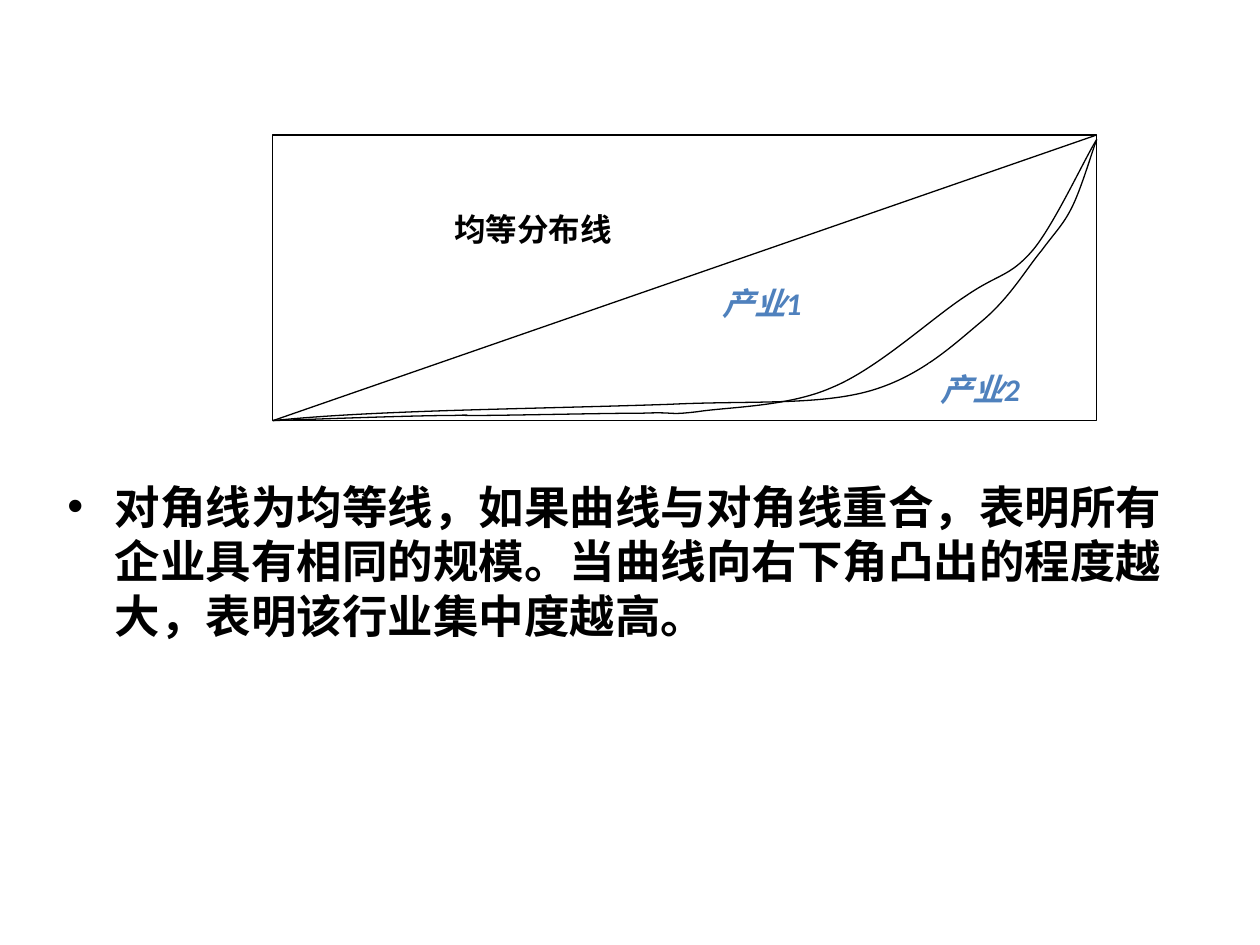
from collections import namedtuple
from dataclasses import dataclass

from lxml.etree import SubElement
from pptx import Presentation
from pptx.dml.color import RGBColor
from pptx.enum.shapes import MSO_CONNECTOR, MSO_SHAPE
from pptx.enum.text import MSO_ANCHOR, PP_ALIGN
from pptx.oxml.ns import qn
from pptx.util import Cm, Pt

Box = namedtuple("Box", "left top width height")


@dataclass(frozen=True)
class Theme:
    """Colours, type and line weights of the slide."""
    font: str = "Calibri"
    ink: RGBColor = RGBColor(0, 0, 0)
    paper: RGBColor = RGBColor(255, 255, 255)
    blue: RGBColor = RGBColor(0x4F, 0x81, 0xBD)
    body: Pt = Pt(26)
    label: Pt = Pt(18)
    rule: Pt = Pt(0.75)


THEME = Theme()

FIRST = [
    (0, 0), (8.9, 0.9), (17.9, 1.8), (21.9, 1.8), (26, 2.2), (20.8, 1.8),
    (24.7, 1.8), (28.5, 1.8), (40.4, 2.6), (44.9, 2.6), (49.3, 3.1),
    (47.6, 1.8), (51.5, 3.1), (55.3, 4.8), (62.5, 4.8), (67.8, 11.5),
    (73.4, 18.1), (79.9, 35.7), (84.1, 43.6), (88.1, 51.5), (89.4, 50.2),
    (92.2, 59.5), (94.8, 68.3), (98.6, 92.1), (100, 98.4),
]
SECOND = [
    (0, 0), (4.6, 1.3), (9.2, 2.2), (17.3, 3.1), (25.3, 4), (39.2, 4.8),
    (48.2, 5.7), (57.4, 7), (65.8, 5.3), (72.1, 10.1), (78.4, 15),
    (82.4, 26), (85.9, 34.4), (89.4, 42.7), (91.4, 52.9), (93.3, 59.5),
    (95.1, 66.5), (96, 68.7), (97.1, 75.3), (98.2, 81.9), (99.5, 94.7),
    (100, 98.4),
]


def write(shape, text, size, color, italic=False):
    """Put one bold paragraph into a shape and return it."""
    frame = shape.text_frame
    frame.text = text
    frame.word_wrap = True
    frame.vertical_anchor = MSO_ANCHOR.TOP
    para = frame.paragraphs[0]
    for run in para.runs:
        font = run.font
        font.name, font.size, font.bold = THEME.font, size, True
        font.italic = italic
        font.color.rgb = color
    return para


def panel(slide, box):
    """Add a plain white rectangle without outline."""
    shape = slide.shapes.add_shape(MSO_SHAPE.RECTANGLE, *map(Cm, box))
    shape.shadow.inherit = False
    shape.fill.solid()
    shape.fill.fore_color.rgb = THEME.paper
    shape.line.fill.background()
    return shape


def stroke(shape):
    """Give a shape or connector the thin dark line."""
    shape.line.color.rgb = THEME.ink
    shape.line.width = THEME.rule


def bend(shape):
    """Turn each three straight segments into one cubic Bezier."""
    lines = list(shape._element.iter(qn("a:lnTo")))
    trail = lines[0].getparent()
    for start in range(0, len(lines), 3):
        cubic = SubElement(trail, qn("a:cubicBezTo"))
        for line in lines[start:start + 3]:
            cubic.append(line[0])
            trail.remove(line)


def curve(slide, box, knots):
    """Draw a curve given in percent of the box, from its lower left."""
    points = [(Cm(box.left + box.width * x / 100),
               Cm(box.top + box.height * (1 - y / 100)))
              for x, y in knots]
    pen = slide.shapes.build_freeform(*points[0])
    pen.add_line_segments(points[1:], close=False)
    shape = pen.convert_to_shape()
    bend(shape)
    shape.shadow.inherit = False
    shape.fill.background()
    stroke(shape)


def graph(slide, box):
    """Draw the framed concentration curves with their labels."""
    stroke(panel(slide, box))
    line = slide.shapes.add_connector(
        MSO_CONNECTOR.STRAIGHT, Cm(box.left), Cm(box.top + box.height),
        Cm(box.left + box.width), Cm(box.top))
    SubElement(line._element.spPr, qn("a:effectLst"))
    stroke(line)
    for knots in (SECOND, FIRST):
        curve(slide, box, knots)

    note = slide.shapes.add_textbox(
        Cm(box.left + 3.41), Cm(box.top + 1.39), Cm(6.65), Cm(1.02))
    para = write(note, "均等分布线", THEME.label, THEME.ink)
    para.alignment = PP_ALIGN.JUSTIFY
    for text, x, y, width in (("产业1", 8.82, 2.88, 4.39),
                              ("产业2", 13.22, 4.61, 3.1)):
        tag = panel(slide, Box(box.left + x, box.top + y, width, 0.76))
        para = write(tag, text, THEME.label, THEME.blue, italic=True)
        para.alignment = PP_ALIGN.JUSTIFY


def remark(slide, box):
    """Add the bulleted explanation."""
    shape = slide.shapes.add_textbox(*map(Cm, box))
    para = write(
        shape, "对角线为均等线，如果曲线与对角线重合，表明所有企业具有相同的规模。"
        "当曲线向右下角凸出的程度越大，表明该行业集中度越高。",
        THEME.body, THEME.ink)
    para.space_before = Pt(5.2)
    props = para._p.get_or_add_pPr()
    indent = Cm(0.95)
    props.set("marL", str(indent))
    props.set("indent", str(-indent))
    SubElement(props, qn("a:buFont"), typeface="Arial")
    SubElement(props, qn("a:buChar"), char="•")


def main():
    """Build and save the slide."""
    deck = Presentation()
    deck.slide_width, deck.slide_height = Cm(25.4), Cm(19.05)
    slide = deck.slides.add_slide(deck.slide_layouts[6])
    remark(slide, Box(1.11, 9.53, 22.86, 4.9))
    graph(slide, Box(5.5, 2.72, 16.61, 5.76))
    deck.save("out.pptx")


if __name__ == "__main__":
    main()
